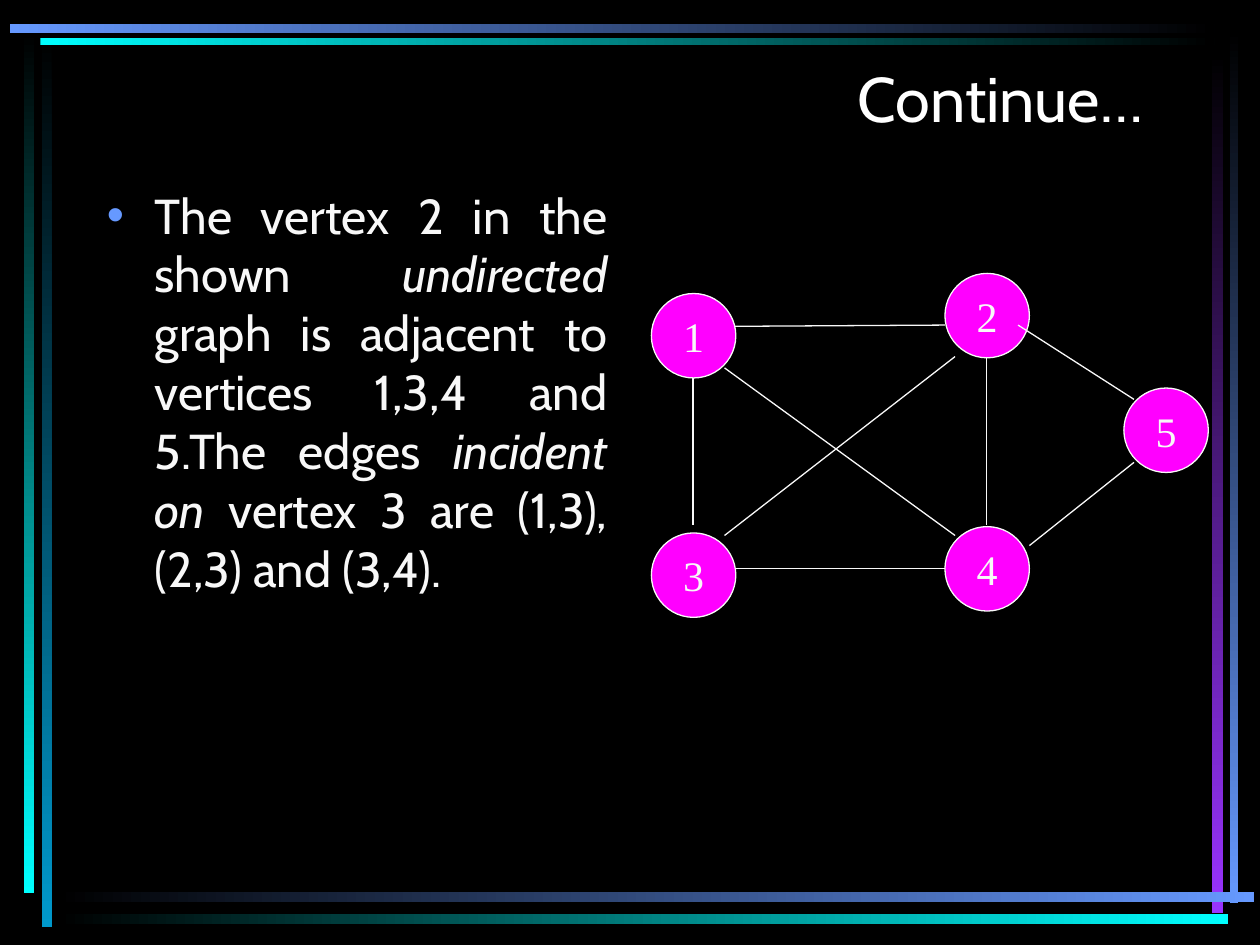
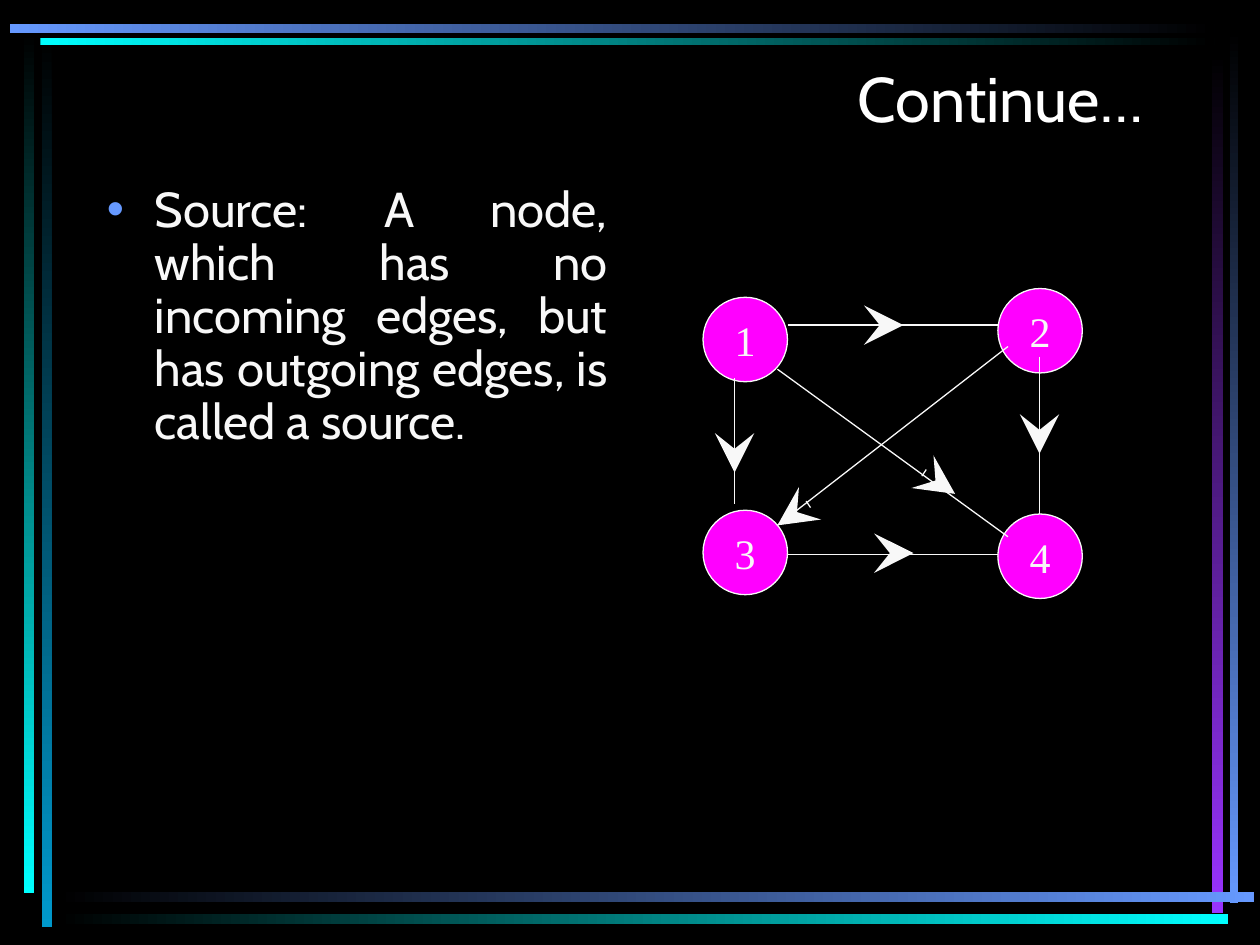
from dataclasses import dataclass

from lxml import etree
from pptx import Presentation
from pptx.dml.color import RGBColor
from pptx.enum import shapes, text
from pptx.oxml import ns
from pptx.util import Inches, Pt


@dataclass(frozen=True)
class Theme:
    background: str = "000000"
    title: str = "FFFFFF"
    ink: str = "F8F8F8"
    node: str = "FF00FF"
    blue: str = "6699FF"
    cyan: str = "00FFFF"
    teal: str = "0099CC"
    purple: str = "9933FF"
    font: str = "Cabin"
    node_font: str = "Times New Roman"
    title_size: int = 36
    body_size: int = 28
    node_size: int = 24
    edge_width: float = 0.75
    arrow_width: float = 4.5


THEME = Theme()
TITLE_BOX = (0.42, 0.42, 8.75, 0.92)
BODY_BOX = (0.75, 1.42, 4.17, 5.08)
NODE_DIAMETER = 0.67
BODY_INDENT = 0.38

# Frame bars: left, top, width, height, first colour, last colour
FRAME_BARS = [
    (0.33, 0.28, 0.08, 7.08, THEME.background, THEME.teal),
    (0.19, 0.25, 0.08, 6.84, THEME.background, THEME.cyan),
    (9.76, 0.24, 0.07, 6.93, THEME.background, THEME.blue),
    (9.62, 0.42, 0.09, 6.83, THEME.background, THEME.purple),
    (0.45, 7.08, 9.5, 0.08, THEME.background, THEME.blue),
    (0.45, 7.25, 9.3, 0.08, THEME.background, THEME.cyan),
    (0.32, 0.3, 9.32, 0.06, THEME.cyan, THEME.background),
    (0.08, 0.19, 9.56, 0.07, THEME.blue, THEME.background),
]

# Slide content: body runs are (text, italic); lines are (x1, y1, x2, y2)
SLIDES = [
    {
        "title": "Continue…",
        "body": [
            ("The vertex 2 in the shown ", False),
            ("undirected", True),
            (" graph is adjacent to vertices 1,3,4 and 5.The edges ", False),
            ("incident on", True),
            (" vertex 3 are (1,3),(2,3) and (3,4).", False),
        ],
        "line_spacing": 1.0,
        "nodes": {"1": (5.17, 2.33), "5": (8.92, 3.08), "2": (7.5, 2.17),
                  "4": (7.5, 4.18), "3": (5.17, 4.23)},
        "edges": [
            (5.5, 3, 5.5, 4.17),
            (5.83, 4.51, 7.5, 4.51),
            (5.83, 2.59, 7.5, 2.58),
            (5.75, 2.92, 7.58, 4.25),
            (5.75, 4.25, 7.58, 2.83),
            (8.08, 2.58, 9, 3.17),
            (8.17, 4.33, 9, 3.67),
            (7.83, 2.83, 7.83, 4.17),
        ],
        "arrows": [],
    },
    {
        "title": "Continue…",
        "body": [
            ("Source: A node, which has no incoming edges, but has outgoing "
             "edges, is called a source.", False),
        ],
        "line_spacing": 0.9,
        "nodes": {"1": (5.58, 2.36), "2": (7.92, 2.29),
                  "4": (7.92, 4.08), "3": (5.58, 4.05)},
        "edges": [
            (5.83, 3, 5.83, 4),
            (6.25, 4.4, 7.92, 4.4),
            (8.25, 2.83, 8.25, 4.08),
            (6.25, 2.58, 7.92, 2.58),
            (6.17, 2.93, 8, 4.26),
            (6.17, 4.17, 8, 2.75),
        ],
        "arrows": [
            (5.83, 3.58, 5.83, 3.75),
            (7.33, 3.75, 7.58, 3.92),
            (6.42, 4, 6.17, 4.17),
            (6.92, 2.58, 7.17, 2.58),
            (7, 4.39, 7.25, 4.39),
            (8.25, 3.43, 8.25, 3.6),
        ],
    },
]


# Helpers
def rgb(color):
    return RGBColor.from_string(color)


def inches(values):
    return [Inches(value) for value in values]


def add_xml(parent, tag, **attributes):
    return etree.SubElement(parent, ns.qn(tag), attributes)


def add_run(paragraph, content, font, size, color, italic=False):
    run = paragraph.add_run()
    run.text = content
    run.font.name = font
    run.font.size = Pt(size)
    run.font.color.rgb = rgb(color)
    run.font.italic = italic


# Shared frame, placed on the layout
def build_frame(layout, slide):
    layout.background.fill.solid()
    layout.background.fill.fore_color.rgb = rgb(THEME.background)
    for left, top, width, height, first, last in FRAME_BARS:
        bar = slide.shapes.add_shape(shapes.MSO_SHAPE.RECTANGLE,
                                     *inches((left, top, width, height)))
        bar.shadow.inherit = False
        bar.line.fill.background()
        bar.fill.gradient()
        bar.fill.gradient_angle = 0 if width > height else 270
        for stop, color in zip(bar.fill.gradient_stops, (first, last)):
            stop.color.rgb = rgb(color)
        layout.shapes.element.append(bar.element)


# Slide parts
def fill_title(slide, content):
    title = slide.shapes.title
    title.left, title.top, title.width, title.height = inches(TITLE_BOX)
    frame = title.text_frame
    frame.auto_size = text.MSO_AUTO_SIZE.NONE
    frame.vertical_anchor = text.MSO_ANCHOR.TOP
    paragraph = frame.paragraphs[0]
    paragraph.alignment = text.PP_ALIGN.RIGHT
    add_run(paragraph, content, THEME.font, THEME.title_size, THEME.title)


def add_body(slide, runs, line_spacing):
    frame = slide.shapes.add_textbox(*inches(BODY_BOX)).text_frame
    frame.word_wrap = True
    paragraph = frame.paragraphs[0]
    paragraph.alignment = text.PP_ALIGN.JUSTIFY
    paragraph.line_spacing = line_spacing
    paragraph.space_before = Pt(7)
    properties = paragraph._p.get_or_add_pPr()
    properties.set("marL", str(Inches(BODY_INDENT)))
    properties.set("indent", str(-Inches(BODY_INDENT)))
    add_xml(add_xml(properties, "a:buClr"), "a:srgbClr", val=THEME.blue)
    add_xml(properties, "a:buFont", typeface="Arial")
    add_xml(properties, "a:buChar", char="•")
    for content, italic in runs:
        add_run(paragraph, content, THEME.font, THEME.body_size, THEME.ink, italic)


def add_node(slide, label, position):
    node = slide.shapes.add_shape(
        shapes.MSO_SHAPE.OVAL, *inches((*position, NODE_DIAMETER, NODE_DIAMETER)))
    node.shadow.inherit = False
    node.fill.solid()
    node.fill.fore_color.rgb = rgb(THEME.node)
    node.line.color.rgb = rgb(THEME.ink)
    node.line.width = Pt(THEME.edge_width)
    frame = node.text_frame
    frame.word_wrap = False
    frame.vertical_anchor = text.MSO_ANCHOR.MIDDLE
    paragraph = frame.paragraphs[0]
    paragraph.alignment = text.PP_ALIGN.CENTER
    add_run(paragraph, label, THEME.node_font, THEME.node_size, THEME.ink)


def add_line(slide, ends, width, arrowhead=False):
    line = slide.shapes.add_connector(shapes.MSO_CONNECTOR.STRAIGHT, *inches(ends))
    line.line.color.rgb = rgb(THEME.ink)
    line.line.width = Pt(width)
    properties = line.element.spPr
    if arrowhead:
        add_xml(properties.find(ns.qn("a:ln")), "a:tailEnd",
                type="stealth", w="lg", len="lg")
    add_xml(properties, "a:effectLst")


def main():
    presentation = Presentation()
    presentation.slide_width, presentation.slide_height = inches((10, 7.5))
    layout = presentation.slide_layouts.get_by_name("Title Only")

    for number, content in enumerate(SLIDES):
        slide = presentation.slides.add_slide(layout)
        if number == 0:
            build_frame(layout, slide)
        fill_title(slide, content["title"])
        add_body(slide, content["body"], content["line_spacing"])
        for label, position in content["nodes"].items():
            add_node(slide, label, position)
        for ends in content["edges"]:
            add_line(slide, ends, THEME.edge_width)
        for ends in content["arrows"]:
            add_line(slide, ends, THEME.arrow_width, arrowhead=True)

    presentation.save("out.pptx")


if __name__ == "__main__":
    main()
